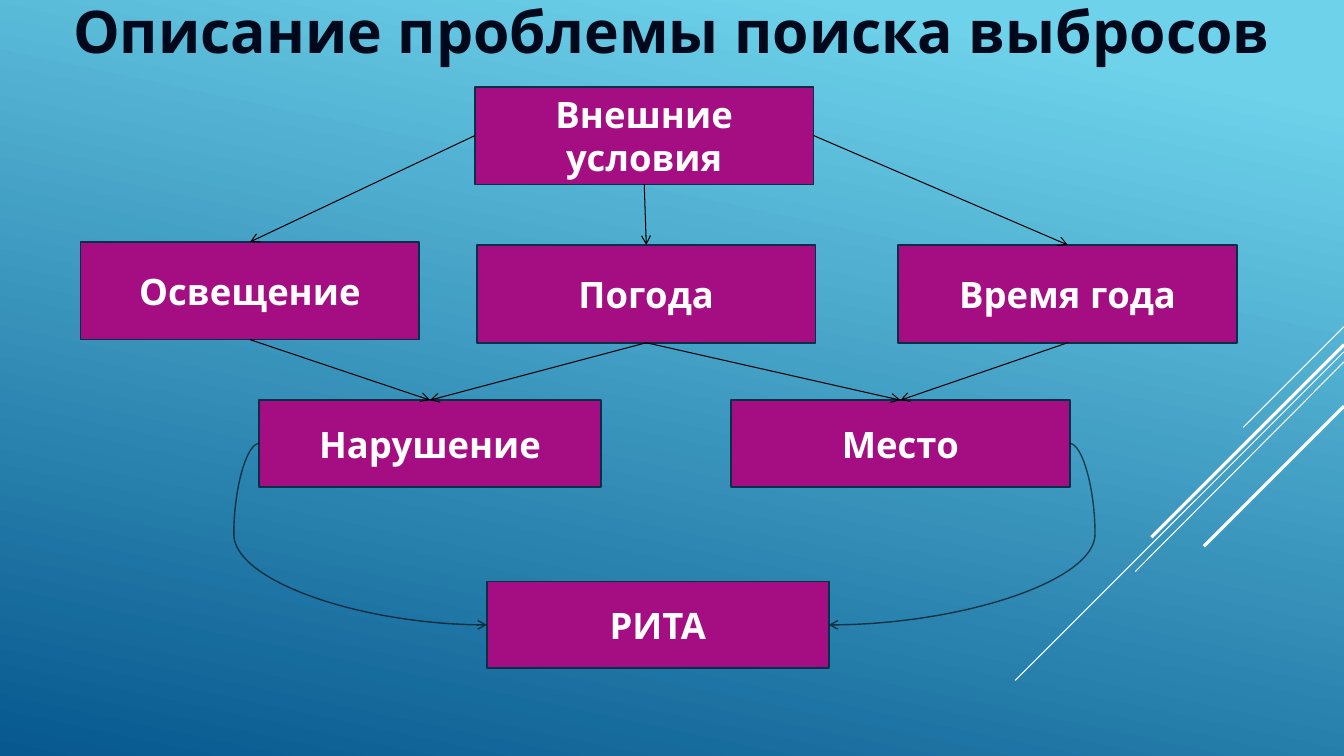
from dataclasses import dataclass

from pptx import Presentation
from pptx.dml.color import RGBColor
from pptx.enum.shapes import MSO_CONNECTOR, MSO_SHAPE
from pptx.enum.text import MSO_ANCHOR, MSO_AUTO_SIZE, PP_ALIGN
from pptx.oxml.ns import qn
from pptx.oxml.xmlchemy import OxmlElement
from pptx.util import Inches, Pt


@dataclass(frozen=True)
class Theme:
    font: str = "League Spartan"
    title_size: float = 42
    box_size: float = 26
    title: str = "00091C"
    box_fill: str = "A50E82"
    box_line: str = "043148"
    box_text: str = "FFFFFF"
    arrow: str = "000000"
    stripe: str = "FFFFFF"
    sky: str = "6ED2EB"
    deep: str = "06588E"


THEME = Theme()
TOP, LEFT, BOTTOM, RIGHT = range(4)
CURVE_BULGE = 0.25

# Name: text, left, top, width, height
BOXES = {
    "conditions": ("Внешние условия", 4.71, 0.86, 3.36, 0.97),
    "light": ("Освещение", 0.8, 2.4, 3.36, 0.97),
    "weather": ("Погода", 4.73, 2.43, 3.36, 0.97),
    "season": ("Время года", 8.91, 2.43, 3.36, 0.97),
    "violation": ("Нарушение", 2.57, 3.97, 3.39, 0.86),
    "place": ("Место", 7.25, 3.97, 3.36, 0.86),
    "rita": ("РИТА", 4.83, 5.77, 3.39, 0.86),
}

# Start box and side, end box and side
ARROWS = [
    ("conditions", LEFT, "light", TOP),
    ("conditions", BOTTOM, "weather", TOP),
    ("conditions", RIGHT, "season", TOP),
    ("light", BOTTOM, "violation", TOP),
    ("weather", BOTTOM, "violation", TOP),
    ("weather", BOTTOM, "place", TOP),
    ("season", BOTTOM, "place", TOP),
]
CURVES = [
    ("violation", LEFT, "rita", LEFT),
    ("place", RIGHT, "rita", RIGHT),
]

# Diagonal stripes: start y at the right edge, end x, end y, weight
STRIPES = [
    (3.24, 12.33, 4.24, 0.75),
    (3.49, 10.07, 6.75, 0.75),
    (3.59, 11.26, 5.67, 0.75),
    (3.42, 11.42, 5.33, 2.25),
    (4.03, 11.94, 5.42, 2.25),
]


def rgb(value):
    return RGBColor.from_string(value)


def paint_background(page):
    fill = page.background.fill
    fill.gradient()
    fill.gradient_angle = 360 - 102
    stops = zip(fill.gradient_stops, ((0.1, THEME.sky), (1, THEME.deep)))
    for stop, (position, color) in stops:
        stop.position = position
        stop.color.rgb = rgb(color)


def write_text(frame, text, size, color):
    frame.word_wrap = True
    para = frame.paragraphs[0]
    para.alignment = PP_ALIGN.CENTER
    span = para.add_run()
    span.text = text
    span.font.name = THEME.font
    span.font.size = Pt(size)
    span.font.bold = True
    span.font.color.rgb = rgb(color)


def add_title(page, text):
    title = page.shapes.title
    title.left, title.top = Inches(-0.29), Inches(-0.1)
    title.width, title.height = Inches(13.91), Inches(0.81)
    frame = title.text_frame
    frame.vertical_anchor = MSO_ANCHOR.TOP
    frame.auto_size = MSO_AUTO_SIZE.SHAPE_TO_FIT_TEXT
    write_text(frame, text, THEME.title_size, THEME.title)


def add_box(page, text, *place):
    box = page.shapes.add_shape(MSO_SHAPE.RECTANGLE, *map(Inches, place))
    box.shadow.inherit = False
    box.fill.solid()
    box.fill.fore_color.rgb = rgb(THEME.box_fill)
    box.line.color.rgb = rgb(THEME.box_line)
    box.line.width = Pt(1.25)
    box.text_frame.vertical_anchor = MSO_ANCHOR.MIDDLE
    write_text(box.text_frame, text, THEME.box_size, THEME.box_text)
    return box


def add_line(page, kind, ends, color, weight):
    line = page.shapes.add_connector(kind, *map(Inches, ends))
    line.line.color.rgb = rgb(color)
    line.line.width = Pt(weight)
    line._element.spPr.append(OxmlElement("a:effectLst"))
    return line


def add_arrow(page, kind, start, start_side, end, end_side, weight):
    arrow = add_line(page, kind, (0, 0, 0, 0), THEME.arrow, weight)
    arrow.begin_connect(start, start_side)
    arrow.end_connect(end, end_side)
    head = OxmlElement("a:tailEnd")
    head.set("type", "arrow")
    arrow._element.spPr.find(qn("a:ln")).append(head)
    return arrow


def add_curve(page, *ends):
    curve = add_arrow(page, MSO_CONNECTOR.CURVE, *ends, 1)
    properties = curve._element.spPr

    # Bend the curve outside both boxes
    bend = OxmlElement("a:gd")
    bend.set("name", "adj1")
    share = -Inches(CURVE_BULGE) / curve.width
    bend.set("fmla", f"val {round(share * 100000)}")
    geometry = properties.find(qn("a:prstGeom"))
    geometry.find(qn("a:avLst")).append(bend)

    # Let the background show through
    alpha = OxmlElement("a:alpha")
    alpha.set("val", "60000")
    properties.find(qn("a:ln")).find(".//" + qn("a:srgbClr")).append(alpha)


def main():
    deck = Presentation()
    deck.slide_width, deck.slide_height = Inches(13.33), Inches(7.5)
    page = deck.slides.add_slide(deck.slide_layouts.get_by_name("Title Only"))

    # Backdrop
    paint_background(page)
    for start_y, end_x, end_y, weight in STRIPES:
        ends = (13.33, start_y, end_x, end_y)
        add_line(page, MSO_CONNECTOR.STRAIGHT, ends, THEME.stripe, weight)

    # Title and boxes
    add_title(page, "Описание проблемы поиска выбросов")
    boxes = {name: add_box(page, *row) for name, row in BOXES.items()}

    # Links between the boxes
    for start, start_side, end, end_side in ARROWS:
        add_arrow(page, MSO_CONNECTOR.STRAIGHT, boxes[start], start_side,
                  boxes[end], end_side, 0.75)
    for start, start_side, end, end_side in CURVES:
        add_curve(page, boxes[start], start_side, boxes[end], end_side)

    deck.save("out.pptx")


if __name__ == "__main__":
    main()
